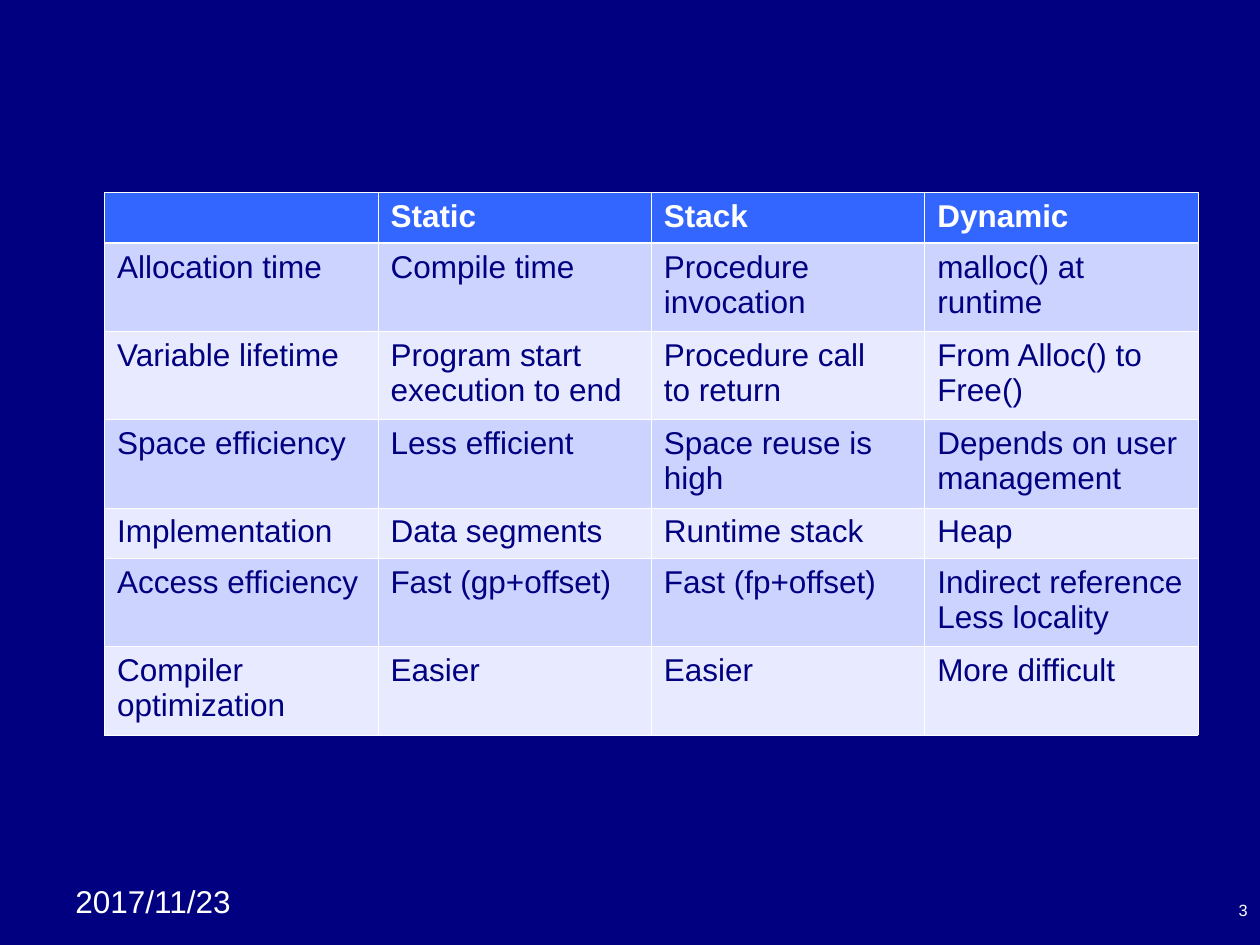
"""Build a slide comparing static, stack and dynamic memory allocation."""
import pptx
import pptx.dml.color
import pptx.enum.text
import pptx.oxml.ns
import pptx.util
from lxml import etree

Inches = pptx.util.Inches
RGBColor = pptx.dml.color.RGBColor
PP_ALIGN = pptx.enum.text.PP_ALIGN
MSO_ANCHOR = pptx.enum.text.MSO_ANCHOR

NAVY = RGBColor(0x00, 0x00, 0x80)
WHITE = RGBColor(0xFF, 0xFF, 0xFF)
HEADER_BLUE = RGBColor(0x33, 0x66, 0xFF)
BANDS = (RGBColor(0xCD, 0xD3, 0xFF), RGBColor(0xE8, 0xEA, 0xFF))

COMPARISON = [
    ("", "Static", "Stack", "Dynamic"),
    ("Allocation time", "Compile time", "Procedure invocation", "malloc() at runtime"),
    ("Variable lifetime", "Program start execution to end", "Procedure call\nto return",
     "From Alloc() to Free()"),
    ("Space efficiency", "Less efficient", "Space reuse is\nhigh", "Depends on user management"),
    ("Implementation", "Data segments", "Runtime stack", "Heap"),
    ("Access efficiency", "Fast (gp+offset)", "Fast (fp+offset)",
     "Indirect reference\nLess locality"),
    ("Compiler optimization", "Easier", "Easier", "More difficult"),
]
ROW_HEIGHTS = (0.4, 0.7, 0.7, 0.7, 0.4, 0.7, 0.7)
COLUMN_WIDTH = 2.17
THIN, THICK = 0.45, 1.47

DATE = ("2017/11/23", (0.5, 6.95, 1.58, 0.4), {})
PAGE_NUMBER = ("3", (7.67, 7.08, 2.33, 0.27),
               {"size": 9.3, "align": PP_ALIGN.RIGHT, "anchor": MSO_ANCHOR.BOTTOM})


def write(frame, text, size=18, color=WHITE, bold=False, align=PP_ALIGN.LEFT,
          anchor=MSO_ANCHOR.TOP):
    frame.word_wrap = True
    frame.vertical_anchor = anchor
    frame.text = text
    for paragraph in frame.paragraphs:
        paragraph.alignment = align
        paragraph.font.name = "Arial"
        paragraph.font.size = pptx.util.Pt(size)
        paragraph.font.bold = bold
        paragraph.font.color.rgb = color


def add_border(cell, side, width):
    qn = pptx.oxml.ns.qn
    properties = cell._tc.get_or_add_tcPr()
    line = etree.SubElement(properties, qn(f"a:ln{side}"), w=str(pptx.util.Pt(width)))
    fill = etree.SubElement(line, qn("a:solidFill"))
    etree.SubElement(fill, qn("a:srgbClr"), val=str(WHITE))


def add_comparison(slide):
    columns = len(COMPARISON[0])
    table = slide.shapes.add_table(
        len(COMPARISON), columns, Inches(0.83), Inches(1.53),
        Inches(COLUMN_WIDTH * columns), Inches(sum(ROW_HEIGHTS))).table
    for column in table.columns:
        column.width = Inches(COLUMN_WIDTH)
    for index, (entries, height) in enumerate(zip(COMPARISON, ROW_HEIGHTS)):
        table.rows[index].height = Inches(height)
        header = index == 0
        widths = {"L": THIN, "R": THIN, "T": THICK if index == 1 else THIN,
                  "B": THICK if header else THIN}
        for cell, entry in zip(table.rows[index].cells, entries):
            for side, width in widths.items():
                add_border(cell, side, width)
            cell.fill.solid()
            cell.fill.fore_color.rgb = HEADER_BLUE if header else BANDS[(index - 1) % 2]
            write(cell.text_frame, entry, color=WHITE if header else NAVY, bold=header)


def main():
    deck = pptx.Presentation()
    deck.slide_width, deck.slide_height = Inches(10), Inches(7.5)
    slide = deck.slides.add_slide(deck.slide_layouts[6])
    slide.background.fill.solid()
    slide.background.fill.fore_color.rgb = NAVY
    for text, place, style in (DATE, PAGE_NUMBER):
        footer = slide.shapes.add_textbox(*map(Inches, place))
        write(footer.text_frame, text, **style)
    add_comparison(slide)
    deck.save("out.pptx")


if __name__ == "__main__":
    main()
